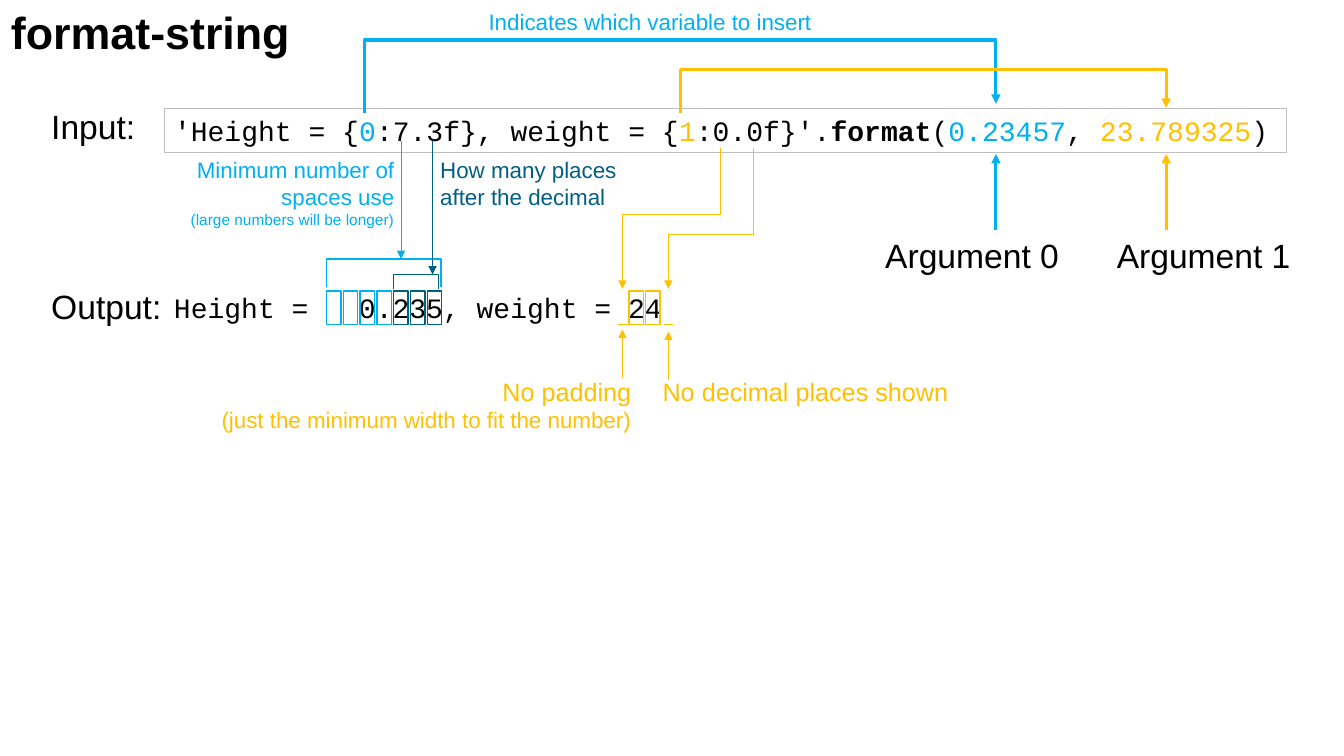
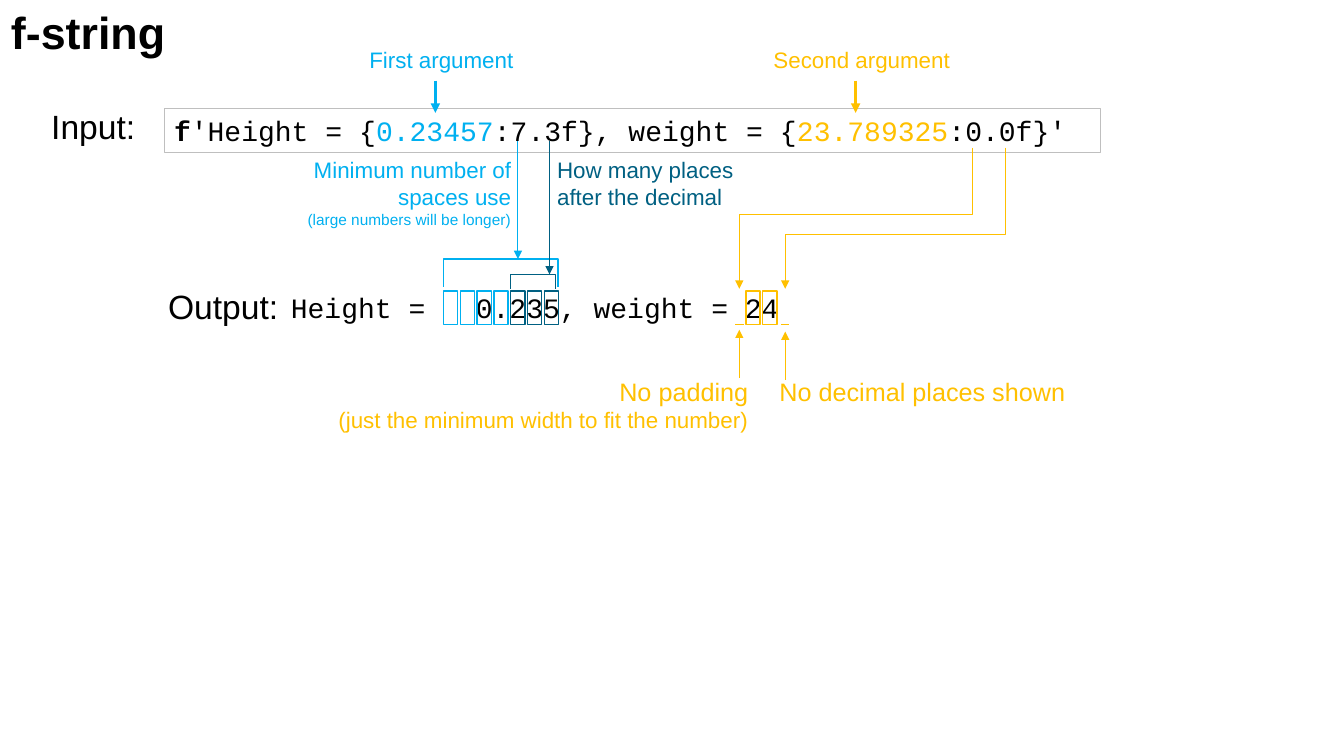
from lxml.etree import SubElement
from pptx import Presentation
from pptx.dml.color import RGBColor
from pptx.enum.shapes import MSO_CONNECTOR as LINK, MSO_SHAPE as KIND
from pptx.enum.text import MSO_ANCHOR as ANCHOR, PP_ALIGN as ALIGN
from pptx.oxml.ns import qn
from pptx.util import Pt

# Shared colours, fonts and line widths
BLACK, GRAY, BLUE, TEAL, GOLD = "000000", "BFBFBF", "00B0F0", "006082", "FFC000"
SANS, MONO = "Arial", "Courier New"
LEFT, MID, RIGHT = ALIGN.LEFT, ALIGN.CENTER, ALIGN.RIGHT
THIN, FINE, THICK = 0.75, 1, 2.25
rgb = RGBColor.from_string

# Shared places: the code is a grid of characters, each 12 points wide
LABEL_X, CODE_X, INSET, CHAR = 29.5, 117.2, 7.2, 12
GRID_X = CODE_X + INSET
CODE_Y, OUT_Y, CODE_H = 77.2, 203.8, 31.5
CELL_Y, CELL_W, CELL_H = 208, 10.2, 23.8
OUTPUT = "Height =   0.235, weight = 24"


def write(slide, x, y, w, h, lines, color=BLACK, align=LEFT, font=SANS, bold=False):
    """Add a text box; lines holds one (text, size) pair per paragraph."""
    frame = slide.shapes.add_textbox(Pt(x), Pt(y), Pt(w), Pt(h)).text_frame
    frame.word_wrap = True
    for i, (text, size) in enumerate(lines):
        para = frame.add_paragraph() if i else frame.paragraphs[0]
        para.text, para.alignment = text, align
        para.font.name, para.font.size, para.font.bold = font, Pt(size), bold
        para.font.color.rgb = rgb(color)


def draw(slide, points, color, width, arrow=True):
    """Join two points by a connector, more by an open outline."""
    dots = [(Pt(x), Pt(y)) for x, y in points]
    if len(dots) == 2:
        shape = slide.shapes.add_connector(LINK.STRAIGHT, *dots[0], *dots[1])
    else:
        path = slide.shapes.build_freeform(*dots[0])
        path.add_line_segments(dots[1:], close=False)
        shape = path.convert_to_shape()
        shape.fill.background()
    shape.line.color.rgb, shape.line.width = rgb(color), Pt(width)
    props = shape.element.spPr
    if arrow:
        SubElement(props.find(qn("a:ln")), qn("a:tailEnd"), type="triangle")
    SubElement(props, qn("a:effectLst"))


deck = Presentation()
deck.slide_width, deck.slide_height = Pt(960), Pt(540)

# Per slide: title, shift of the output to the right, width of the code box,
# and the code as (text, colour) runs
pages = [
    ("format-string", 0, 802, [
        ("'Height = {", BLACK), ("0", BLUE), (":7.3f}, weight = {", BLACK),
        ("1", GOLD), (":0.0f}'.", BLACK), ("format", BLACK), ("(", BLACK),
        ("0.23457", BLUE), (", ", BLACK), ("23.789325", GOLD), (")", BLACK)]),
    ("f-string", 83.5, 669, [
        ("f", BLACK), ("'Height = {", BLACK), ("0.23457", BLUE),
        (":7.3f}, weight = {", BLACK), ("23.789325", GOLD), (":0.0f}'", BLACK)]),
]
slides = []
for title, shift, width, code in pages:
    slide = deck.slides.add_slide(deck.slide_layouts[6])
    slides.append(slide)
    write(slide, 0.7, 0, 240, 46, [(title, 32)], bold=True)

    # Input code in its box
    write(slide, LABEL_X, 72, 80, 36, [("Input:", 24)])
    box = slide.shapes.add_shape(
        KIND.RECTANGLE, Pt(CODE_X), Pt(CODE_Y), Pt(width), Pt(CODE_H))
    box.shadow.inherit = False
    box.fill.background()
    box.line.color.rgb, box.line.width = rgb(GRAY), Pt(THIN)
    frame = box.text_frame
    frame.word_wrap, frame.vertical_anchor = True, ANCHOR.TOP
    para = frame.paragraphs[0]
    para.alignment = LEFT
    para.font.name, para.font.size = MONO, Pt(20)
    for text, color in code:
        run = para.add_run()
        run.text, run.font.bold = text, text in ("f", "format")
        run.font.color.rgb = rgb(color)

    # Output text
    write(slide, LABEL_X + shift, 200.6, 96, 36, [("Output:", 24)])
    write(slide, CODE_X + shift, OUT_Y, 366, CODE_H, [(OUTPUT, 20)], font=MONO)

    # One cell around each character of the two numbers
    for part, color in [("  0.", BLUE), ("235", TEAL), ("24", GOLD)]:
        # The last match skips the space that follows the equals sign
        first_col = OUTPUT.rindex(part)
        for col in range(first_col, first_col + len(part)):
            x = GRID_X + shift + CHAR * col + 0.9
            cell = slide.shapes.add_shape(
                KIND.RECTANGLE, Pt(x), Pt(CELL_Y), Pt(CELL_W), Pt(CELL_H))
            cell.shadow.inherit = False
            cell.fill.background()
            cell.line.color.rgb, cell.line.width = rgb(color), Pt(FINE)

    # Brackets over the digits, each with an arrow from the code
    for left, right, top, foot, tip, color in [
            (233.4, 315, 185, 205, 286.5, BLUE),
            (281, 313.2, 196, 206.3, 309, TEAL)]:
        left, right, tip = left + shift, right + shift, tip + shift
        bracket = [(left, foot), (left, top), (right, top), (right, foot)]
        draw(slide, bracket, color, FINE, arrow=False)
        draw(slide, [(tip, 100.8), (tip, top)], color, THIN)

    # From each zero of "0.0f": an elbow to a gap mark, and an arrow from below
    zero_col = "".join(text for text, color in code).index("0.0f")
    for col, gap, bend, tip in [
            (zero_col, 444.6, 153.4, 235.5), (zero_col + 2, 477.4, 167.8, 236.9)]:
        start, gap = GRID_X + CHAR * (col + 0.5), gap + shift
        elbow = [(start, 105.4), (start, bend), (gap, bend), (gap, 206.3)]
        draw(slide, elbow, GOLD, THIN)
        draw(slide, [(gap - 3, 231.8), (gap + 3, 231.8)], GOLD, FINE, arrow=False)
        draw(slide, [(gap, tip + 34.5), (gap, tip)], GOLD, THIN)

    # Notes on the format
    for x, y, w, h, lines, color, align in [
            (123.1, 108, 165.6, 59, [("Minimum number of spaces use", 16),
                                     ("(large numbers will be longer)", 11)], BLUE, RIGHT),
            (307.4, 108, 165.6, 46, [("How many places after the decimal", 16)], TEAL, LEFT),
            (103.8, 265, 354.2, 48, [("No padding", 18),
                                     ("(just the minimum width to fit the number)", 16)],
             GOLD, RIGHT),
            (452.2, 265, 246.2, 29, [("No decimal places shown", 18)], GOLD, MID)]:
        write(slide, x + shift, y, w, h, lines, color, align)

# format-string: link each index to its argument
format_slide, f_slide = slides
write(format_slide, 310.2, 2.2, 308.2, 26.6,
      [("Indicates which variable to insert", 16)], BLUE, MID)
for name, left, index_x, value_x, top, tip, color in [
        ("Argument 0", 625.2, 260.6, 711.4, 28.6, 74.2, BLUE),
        ("Argument 1", 790.6, 486, 833, 49.7, 77, GOLD)]:
    route = [(index_x, 80.6), (index_x, top), (value_x, top), (value_x, tip)]
    draw(format_slide, route, color, THICK)
    draw(format_slide, [(value_x, 164.2), (value_x, 110)], color, THICK)
    write(format_slide, left, 164.2, 142, 36, [(name, 24)])

# f-string: point at each argument
for name, value_x, color in [("First argument", 311, BLUE), ("Second argument", 611.2, GOLD)]:
    write(f_slide, value_x - 72, 29.5, 152.6, 26.6, [(name, 16)], color, MID)
    draw(f_slide, [(value_x, 57.6), (value_x, 80.6)], color, THICK)

deck.save("out.pptx")
